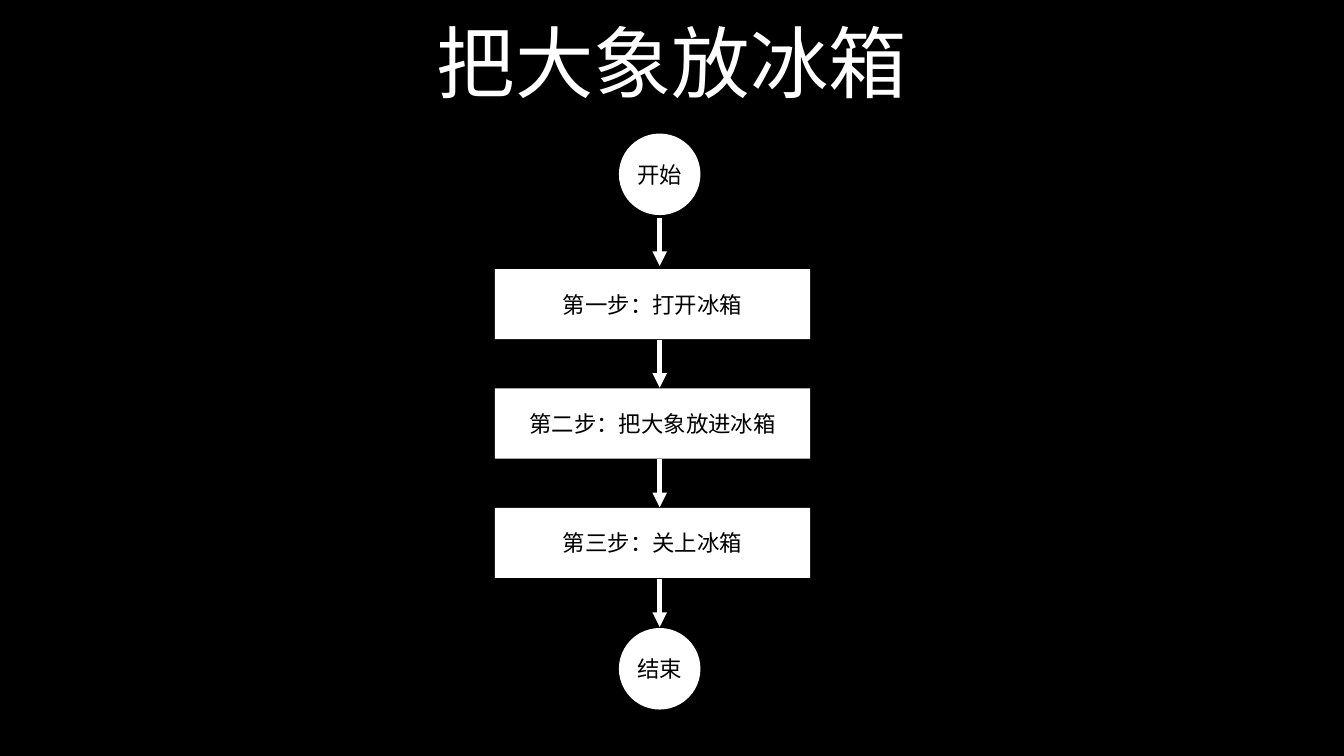
from pptx import Presentation
from pptx.dml.color import RGBColor
from pptx.enum.shapes import MSO_CONNECTOR as Link, MSO_SHAPE as Shape
from pptx.enum.text import MSO_ANCHOR as Anchor, PP_ALIGN as Align
from pptx.oxml.ns import qn
from pptx.util import Cm, Pt
from lxml.etree import SubElement

TITLE = "把大象放冰箱"
START = "开始"
STEPS = ["第一步：打开冰箱", "第二步：把大象放进冰箱", "第三步：关上冰箱"]
END = "结束"

THEME = {
    "font": "Arial",
    "background": RGBColor(0, 0, 0),
    "light": RGBColor(255, 255, 255),
    "dark": RGBColor(0, 0, 0),
    "title_size": Pt(112),
    "step_size": Pt(32),
    "arrow_width": Pt(7),
}

SLIDE_WIDTH, SLIDE_HEIGHT = 67.74, 38.1
TITLE_BOX = (4.7, -0.08, 58.34, 6.35)
AXIS = 33.25
CIRCLE = 4.11
STEP_LEFT, STEP_WIDTH, STEP_HEIGHT = 24.94, 15.9, 3.53
START_TOP, FIRST_STEP_TOP, STEP_PITCH, END_TOP = 6.73, 13.56, 6.02, 31.65
ARROW_LENGTH = 2.42


def write(holder, wording, size, color, inset):
    frame = holder.text_frame
    frame.word_wrap = True
    frame.vertical_anchor = Anchor.MIDDLE
    frame.margin_left = frame.margin_right = Cm(inset)
    frame.margin_top = frame.margin_bottom = Cm(inset)
    paragraph = frame.paragraphs[0]
    paragraph.alignment = Align.CENTER
    run = paragraph.add_run()
    run.text = wording
    run.font.name = THEME["font"]
    run.font.size = size
    run.font.color.rgb = color


def add_node(slide, kind, wording, left, top, width, height):
    node = slide.shapes.add_shape(kind, Cm(left), Cm(top), Cm(width), Cm(height))
    node.shadow.inherit = False
    node.fill.solid()
    node.fill.fore_color.rgb = THEME["light"]
    node.line.fill.background()
    write(node, wording, THEME["step_size"], THEME["dark"], 0)


def add_arrow(slide, upper_bottom, lower_top):
    begin = (upper_bottom + lower_top - ARROW_LENGTH) / 2
    arrow = slide.shapes.add_connector(
        Link.STRAIGHT, Cm(AXIS), Cm(begin), Cm(AXIS), Cm(begin + ARROW_LENGTH))
    arrow.line.color.rgb = THEME["light"]
    arrow.line.width = THEME["arrow_width"]
    SubElement(arrow.line._get_or_add_ln(), qn("a:tailEnd"), type="triangle")
    SubElement(arrow._element.spPr, qn("a:effectLst"))


def main():
    deck = Presentation()
    deck.slide_width, deck.slide_height = Cm(SLIDE_WIDTH), Cm(SLIDE_HEIGHT)
    slide = deck.slides.add_slide(deck.slide_layouts[6])
    slide.background.fill.solid()
    slide.background.fill.fore_color.rgb = THEME["background"]

    title = slide.shapes.add_textbox(*map(Cm, TITLE_BOX))
    write(title, TITLE, THEME["title_size"], THEME["light"], 0.15)

    circle = (AXIS - CIRCLE / 2, CIRCLE, CIRCLE)
    bar = (STEP_LEFT, STEP_WIDTH, STEP_HEIGHT)
    flow = [(Shape.OVAL, START, START_TOP, circle)]
    flow += [(Shape.RECTANGLE, step, FIRST_STEP_TOP + index * STEP_PITCH, bar)
             for index, step in enumerate(STEPS)]
    flow.append((Shape.OVAL, END, END_TOP, circle))

    previous_bottom = None
    for kind, wording, top, (left, width, height) in flow:
        if previous_bottom is not None:
            add_arrow(slide, previous_bottom, top)
        add_node(slide, kind, wording, left, top, width, height)
        previous_bottom = top + height

    deck.save("out.pptx")


if __name__ == "__main__":
    main()
